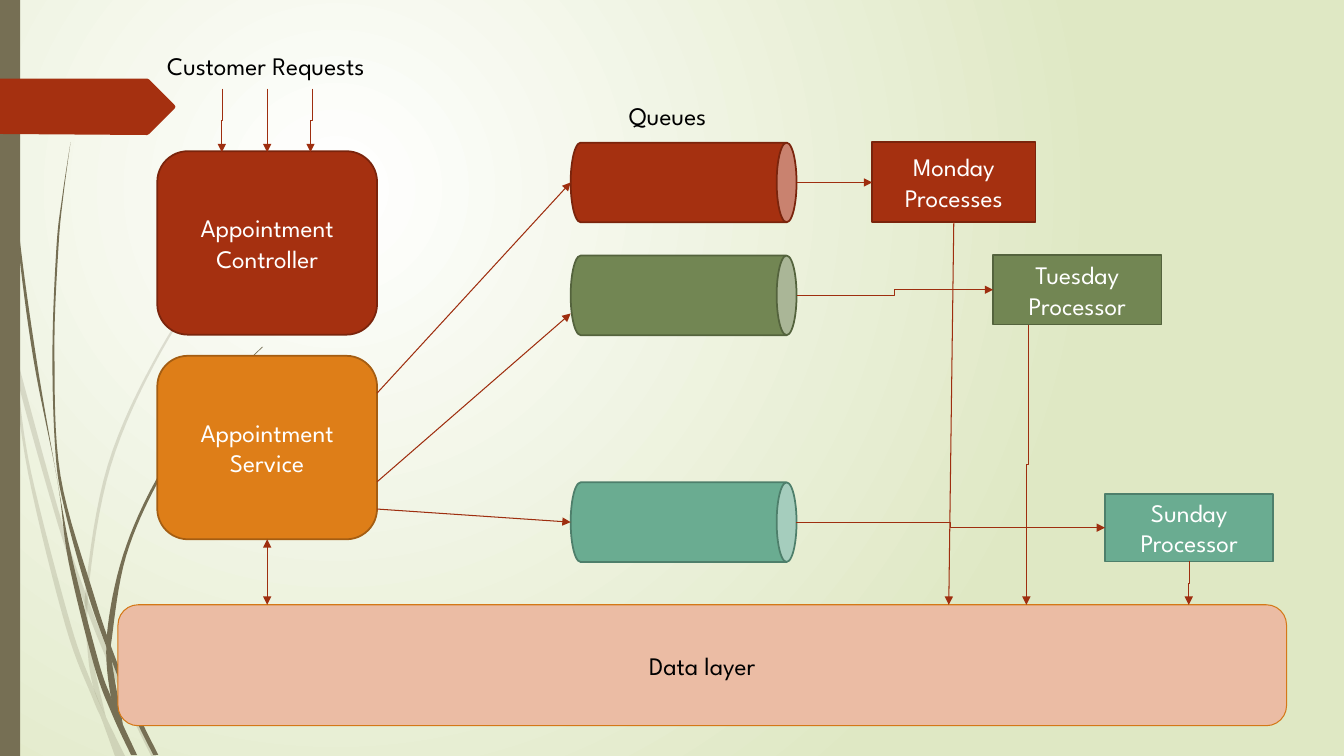
import pptx
import pptx.util
import pptx.dml.color
import pptx.enum.shapes
import pptx.enum.text
import pptx.oxml
import pptx.oxml.ns
from pptx.util import Inches

SHAPE = pptx.enum.shapes.MSO_SHAPE
CONNECTOR = pptx.enum.shapes.MSO_CONNECTOR
ALIGN = pptx.enum.text.PP_ALIGN
ANCHOR = pptx.enum.text.MSO_ANCHOR
qn = pptx.oxml.ns.qn
NS = pptx.oxml.ns.nsdecls("a")

COLORS = {
    "white": "FFFFFF", "black": "000000", "mist": "DFE8C4", "olive": "766F54",
    "red": "A53010", "red_edge": "7A240C", "green": "728653", "green_edge": "54633D",
    "teal": "6AAC91", "teal_edge": "4E7F6B", "orange": "DE7E18", "orange_edge": "A45D12",
    "peach": "EBBCA4", "peach_edge": "D47817", "arrow": "9E2E0F",
}


def rgb(name):
    return pptx.dml.color.RGBColor.from_string(COLORS[name])


def smooth(points, steps=8):
    """Catmull-Rom curve through the points."""
    padded = [points[0], *points, points[-1]]
    curve = []
    for a, b, c, d in zip(padded, padded[1:], padded[2:], padded[3:]):
        for step in range(steps):
            t = step / steps
            curve.append(tuple(
                (2 * q + (r - p) * t + (2 * p - 5 * q + 4 * r - s) * t**2
                 + (3 * q - p - 3 * r + s) * t**3) / 2
                for p, q, r, s in zip(a, b, c, d)))
    return curve + [points[-1]]


class Diagram:
    font = "League Spartan"
    size = pptx.util.Pt(18)

    def __init__(self, slide):
        self.slide = slide

    def backdrop(self, inner, outer):
        fill = self.slide.background.fill
        fill.gradient()
        for stop, name, position in zip(fill.gradient_stops, (inner, outer), (0, 1)):
            stop.color.rgb = rgb(name)
            stop.position = position
        gradient = self.slide.element.find(".//" + qn("a:gradFill"))
        gradient.replace(gradient.find(qn("a:lin")), pptx.oxml.parse_xml(
            f'<a:path {NS} path="circle"><a:fillToRect l="50000" t="50000" '
            'r="100000" b="100000"/></a:path>'))

    def paint(self, shape, fill, edge=None, width=1.25):
        shape.shadow.inherit = False
        shape.fill.solid()
        shape.fill.fore_color.rgb = rgb(fill)
        if edge:
            shape.line.color.rgb = rgb(edge)
            shape.line.width = pptx.util.Pt(width)
        else:
            shape.line.fill.background()

    def set_words(self, shape, text, color):
        paragraph = shape.text_frame.paragraphs[0]
        paragraph.text = text
        for run in paragraph.runs:
            run.font.name, run.font.size = self.font, self.size
            run.font.color.rgb = rgb(color)
        return paragraph

    def box(self, kind, place, fill, edge=None, width=1.25, text="", color="white"):
        shape = self.slide.shapes.add_shape(kind, *map(Inches, place))
        self.paint(shape, fill, edge, width)
        if text:
            shape.text_frame.word_wrap = True
            shape.text_frame.vertical_anchor = ANCHOR.MIDDLE
            self.set_words(shape, text, color).alignment = ALIGN.CENTER
        return shape

    def label(self, place, text):
        shape = self.slide.shapes.add_textbox(*map(Inches, place))
        shape.text_frame.word_wrap = False
        self.set_words(shape, text, "black")

    def outline(self, points, fill, alpha=100):
        builder = self.slide.shapes.build_freeform(
            *(Inches(v) for v in points[0]), scale=1.0)
        builder.add_line_segments([(Inches(x), Inches(y)) for x, y in points[1:]])
        shape = builder.convert_to_shape()
        self.paint(shape, fill)
        if alpha < 100:
            shape.element.spPr.find(".//" + qn("a:srgbClr")).append(
                pptx.oxml.parse_xml(f'<a:alpha {NS} val="{alpha * 1000}"/>'))

    def arrow(self, start, end, bend=None, both=False):
        """bend: None is straight, "across" leaves sideways, "down" leaves downwards."""
        (x1, y1), (x2, y2) = start, end
        if bend == "down":  # laid out sideways, then turned a quarter
            cx, cy, dx, dy = (x1 + x2) / 2, (y1 + y2) / 2, y2 - y1, x1 - x2
            x1, y1, x2, y2 = cx - dx / 2, cy - dy / 2, cx + dx / 2, cy + dy / 2
        line = self.slide.shapes.add_connector(
            CONNECTOR.ELBOW if bend else CONNECTOR.STRAIGHT,
            *map(Inches, (x1, y1, x2, y2)))
        line.line.color.rgb = rgb("arrow")
        line.line.width = pptx.util.Pt(0.75)
        properties = line.element.spPr
        if bend == "down":
            properties.find(qn("a:xfrm")).set("rot", "5400000")
        for end_tag in ("headEnd", "tailEnd") if both else ("tailEnd",):
            properties.find(qn("a:ln")).append(
                pptx.oxml.parse_xml(f'<a:{end_tag} {NS} type="triangle"/>'))
        properties.append(pptx.oxml.parse_xml(f"<a:effectLst {NS}/>"))


deck = pptx.Presentation()
deck.slide_width, deck.slide_height = Inches(13.33), Inches(7.5)
diagram = Diagram(deck.slides.add_slide(deck.slide_layouts[6]))
diagram.backdrop("white", "mist")

# Grass blades: opacity, left edge downwards, right edge upwards
blades = [
    (20, [(0, 2.99), (.1, 3.44), (.28, 4.7), (.65, 6.21), (.92, 6.93), (1.01, 7.14), (1.14, 7.5)],
     [(1.24, 7.5), (1.05, 7.11), (.93, 6.83), (.7, 6.19), (.31, 4.69), (.17, 3.76),
      (.09, 3.22), (0, 2.82)]),
    (20, [(.14, 3.45), (.17, 3.76), (.58, 5.22), (.88, 6.1), (1.23, 6.94), (1.5, 7.5)],
     [(1.55, 7.5), (1.27, 6.92), (.92, 6.07), (.62, 5.2), (.14, 3.45)]),
    (20, [(3.12, 1.53), (2.68, 1.97), (2.28, 2.44), (1.58, 3.48), (1.07, 4.61), (.85, 5.84),
          (.87, 6.46), (.93, 6.83), (1.05, 7.11)],
     [(1.05, 7.11), (.91, 6.46), (.88, 5.84), (1.1, 4.62), (1.6, 3.49), (2.29, 2.45),
      (2.68, 1.98), (3.12, 1.54)]),
    (100, [(.03, 0), (.07, 1.1), (.17, 2.33), (.33, 3.55), (.57, 4.77), (.68, 5.57),
           (.93, 6.59), (1.11, 7.08), (1.3, 7.49)],
     [(1.36, 7.49), (1.22, 7.19), (1.1, 6.91), (.98, 6.57), (.72, 5.56), (.57, 4.77),
      (.36, 3.55), (.19, 2.32), (.08, 1.09), (.04, 0)]),
    (100, [(.7, 1.41), (.62, 1.93), (.56, 2.45), (.52, 3.49), (.55, 4.49), (.64, 5.05),
           (.88, 5.92), (1.11, 6.56), (1.32, 7.08), (1.52, 7.49)],
     [(1.57, 7.49), (1.36, 7.06), (1.13, 6.49), (.93, 5.9), (.6, 4.72), (.54, 3.49),
      (.58, 2.45), (.63, 1.93), (.7, 1.41)]),
    (100, [(2.6, 3.44), (2.31, 3.73), (2.04, 4.05), (1.56, 4.74), (1.22, 5.51), (1.06, 6.31),
           (1.1, 6.91), (1.22, 7.19)],
     [(1.22, 7.19), (1.11, 6.56), (1.11, 6.33), (1.25, 5.52), (1.58, 4.76), (2.05, 4.06),
      (2.31, 3.74), (2.61, 3.44)]),
]
for opacity, left_edge, right_edge in blades:
    diagram.outline(smooth(left_edge) + smooth(right_edge), "olive", opacity)

# Side bar and pointed tab
diagram.box(SHAPE.RECTANGLE, (0, 0, .2, 7.5), "olive")
diagram.outline([(0, .78), (1.46, .78), (1.48, .79), (1.73, 1.04), (1.74, 1.06),
                 (1.73, 1.08), (1.48, 1.33), (1.46, 1.34), (0, 1.33)], "red")

# Queues, each with its processor and the arrows that link them
QUEUE_LEFT, QUEUE_RIGHT = 5.66, 7.9
QUEUE_THICK, QUEUE_LONG = .79, QUEUE_RIGHT - QUEUE_LEFT
DATA_TOP = 6
SERVICE_RIGHT = 3.74
days = [  # color, queue centre, service exit, queue entry, processor, place, drop from, drop to
    ("red", 1.81, 3.9, 1.81, "Monday Processes", (8.65, 1.41, 1.62, .79), 9.46, 9.41),
    ("green", 2.93, 4.78, 3.11, "Tuesday Processor", (9.85, 2.53, 1.67, .69), 10.2, 10.18),
    ("teal", 5.18, 5.05, 5.18, "Sunday Processor", (10.96, 4.9, 1.67, .67), 11.8, 11.79),
]
queue_middle = (QUEUE_LEFT + QUEUE_RIGHT) / 2
for color, centre, *_ in days:
    queue = diagram.box(SHAPE.CAN, (queue_middle - QUEUE_THICK / 2, centre - QUEUE_LONG / 2,
                                    QUEUE_THICK, QUEUE_LONG), color, color + "_edge")
    queue.rotation = 90

# Controller, service and data layer
for top, color, name in ((1.5, "red", "Appointment Controller"),
                         (3.53, "orange", "Appointment Service")):
    diagram.box(SHAPE.ROUNDED_RECTANGLE, (1.56, top, 2.18, 1.82), color, color + "_edge",
                text=name)
diagram.box(SHAPE.ROUNDED_RECTANGLE, (1.17, DATA_TOP, 11.59, 1.2), "peach", "peach_edge", .75,
            "Data layer", "black")
diagram.arrow((2.65, 5.35), (2.65, DATA_TOP), "down", both=True)

# Incoming requests
for request_x, entry_x in ((2.21, 2.2), (2.65, 2.65), (3.1, 3.08)):
    diagram.arrow((request_x, .88), (entry_x, 1.51), "down")

# Processors and their arrows
for color, centre, exit_y, entry_y, name, place, drop_from, drop_to in days:
    left, top, _, height = place
    straight = color == "red"
    diagram.arrow((SERVICE_RIGHT, exit_y), (QUEUE_LEFT, entry_y))
    diagram.box(SHAPE.RECTANGLE, place, color, color + "_edge", text=name)
    diagram.arrow((drop_from, top + height), (drop_to, DATA_TOP), None if straight else "down")
    diagram.arrow((QUEUE_RIGHT, centre), (left, centre if straight else top + height / 2),
                  None if straight else "across")

# Headings
diagram.label((1.56, .45, 2.55, .4), "Customer Requests")
diagram.label((6.14, .95, 1.16, .4), "Queues")

deck.save("out.pptx")
